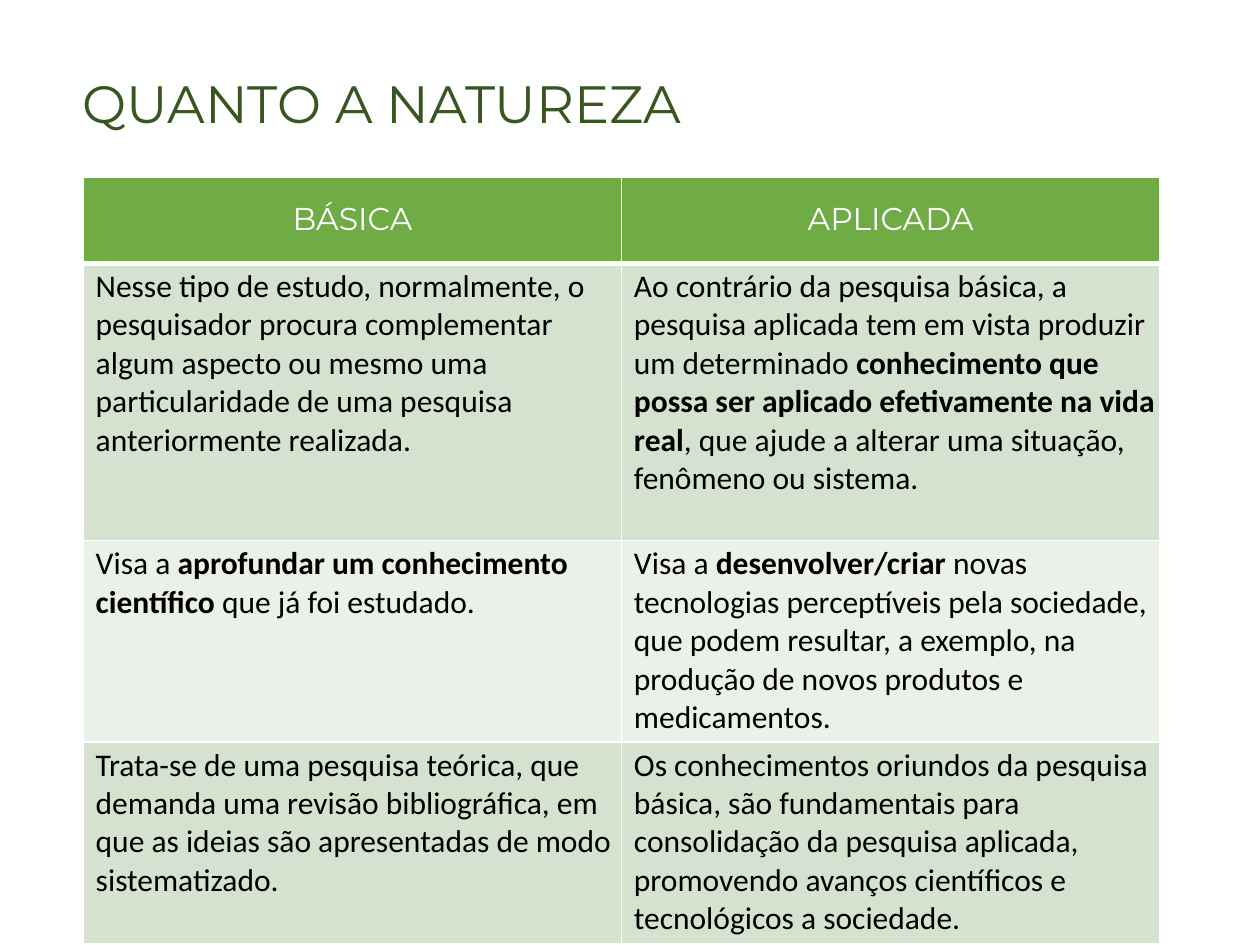
from lxml import etree
from pptx import Presentation
from pptx import util as u
from pptx.dml.color import RGBColor
from pptx.enum import text
from pptx.oxml import ns


def write(frame, content, font="Calibri", size=18, color="000000",
          align=text.PP_ALIGN.LEFT, before=2.5):
    for number, line in enumerate(content.split("\n")):
        para = frame.add_paragraph() if number else frame.paragraphs[0]
        para.alignment = align
        para.space_before = u.Pt(0 if number else before)
        for position, part in enumerate(line.split("**")):
            if part:
                span = para.add_run()
                span.text = part
                span.font.name = font
                span.font.size = u.Pt(size)
                span.font.bold = position % 2 == 1
                span.font.color.rgb = RGBColor.from_string(color)


def add_border(cell, side, points):
    properties = cell._tc.get_or_add_tcPr()
    line = etree.SubElement(properties, ns.qn(f"a:ln{side}"), w=str(u.Pt(points)))
    fill = etree.SubElement(line, ns.qn("a:solidFill"))
    etree.SubElement(fill, ns.qn("a:srgbClr"), val="FFFFFF")


deck = Presentation()
deck.slide_width, deck.slide_height = u.Cm(25.4), u.Cm(19.05)
page = deck.slides.add_slide(deck.slide_layouts[5])

title = page.shapes.title
title.left, title.top = u.Cm(1.67), u.Cm(1.4)
title.width, title.height = u.Cm(13.08), u.Cm(1.35)
frame = title.text_frame
frame.margin_left = frame.margin_right = frame.margin_bottom = 0
frame.margin_top = u.Cm(0.03)
frame.vertical_anchor = text.MSO_ANCHOR.TOP
frame.auto_size = text.MSO_AUTO_SIZE.NONE
frame.word_wrap = True
write(frame, "QUANTO A NATUREZA", font="Montserrat", size=30, color="385622", before=1)

rows = [
    ("BÁSICA", "APLICADA"),
    ("Nesse tipo de estudo, normalmente, o pesquisador procura complementar "
     "algum aspecto ou mesmo uma particularidade de uma pesquisa "
     "anteriormente realizada.",
     "Ao contrário da pesquisa básica, a pesquisa aplicada tem em vista "
     "produzir um determinado **conhecimento que possa ser aplicado "
     "efetivamente na vida real**, que ajude a alterar uma situação, "
     "fenômeno ou sistema."),
    ("Visa a **aprofundar um conhecimento**\n**científico** que já foi estudado.",
     "Visa a **desenvolver/criar** novas tecnologias perceptíveis pela "
     "sociedade, que podem resultar, a exemplo, na produção de novos "
     "produtos e medicamentos."),
    ("Trata-se de uma pesquisa teórica, que demanda uma revisão "
     "bibliográfica, em que as ideias são apresentadas de modo sistematizado.",
     "Os conhecimentos oriundos da pesquisa básica, são fundamentais para "
     "consolidação da pesquisa aplicada, promovendo avanços científicos e "
     "tecnológicos a sociedade."),
]
heights = [1.73, 5.59, 4.06, 4.06]
fills = ["6FAC46", "D4E2CF", "EBF0E9", "D4E2CF"]

table = page.shapes.add_table(len(rows), 2, u.Cm(1.68), u.Cm(3.58),
                              u.Cm(21.7), u.Cm(sum(heights))).table
for column in table.columns:
    column.width = u.Cm(10.85)

for index, (contents, height, fill) in enumerate(zip(rows, heights, fills)):
    table.rows[index].height = u.Cm(height)
    header = index == 0
    for cell, content in zip(table.rows[index].cells, contents):
        for side, points in (("L", 1), ("R", 1), ("T", 3 if index == 1 else 1),
                             ("B", 3 if header else 1)):
            add_border(cell, side, points)
        cell.fill.solid()
        cell.fill.fore_color.rgb = RGBColor.from_string(fill)
        cell.margin_left = u.Cm(0 if header else 0.25)
        cell.margin_top = u.Cm(0.46 if header else 0.08)
        cell.margin_right = cell.margin_bottom = 0
        if header:
            write(cell.text_frame, content, font="Montserrat", color="FFFFFF",
                  align=text.PP_ALIGN.CENTER, before=12.7)
        else:
            write(cell.text_frame, content)

deck.save("out.pptx")
